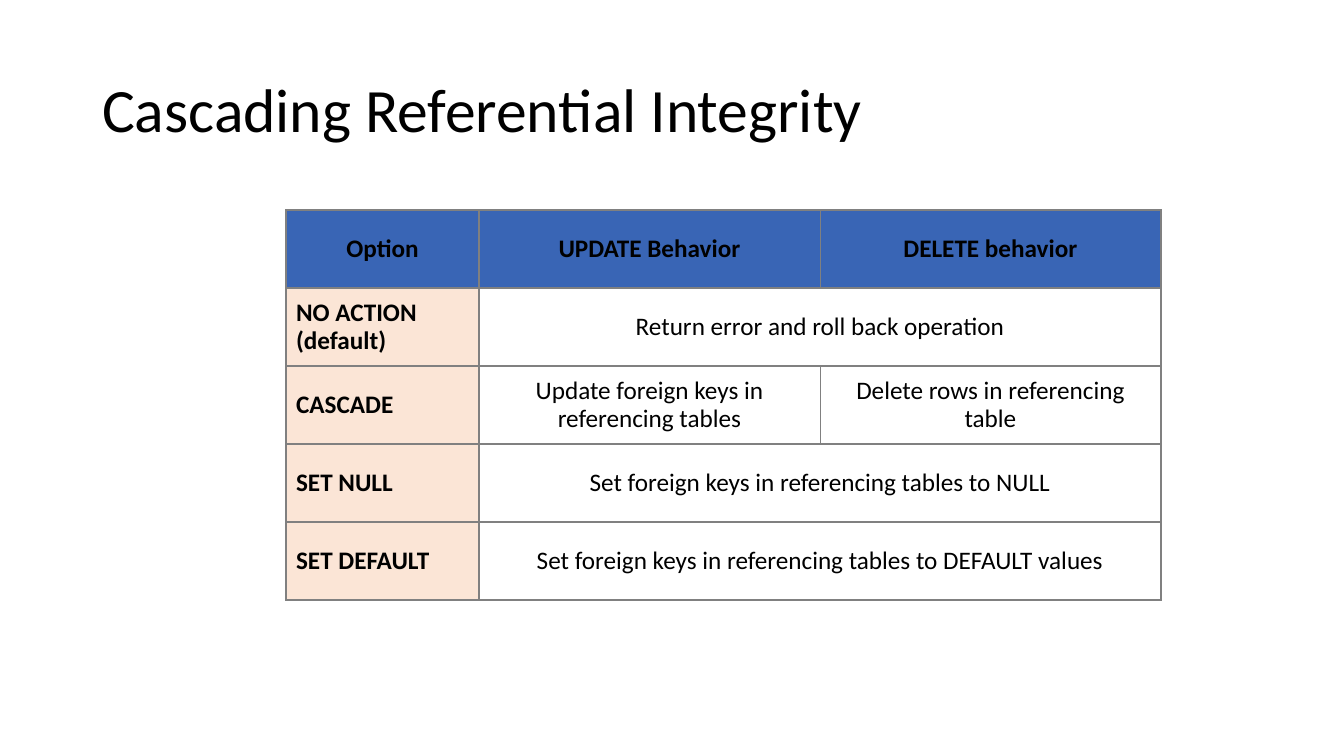
from dataclasses import dataclass

from lxml import etree
from pptx import Presentation
from pptx.dml.color import RGBColor
from pptx.enum.text import MSO_ANCHOR, PP_ALIGN
from pptx.oxml.ns import qn
from pptx.util import Emu, Inches, Pt

LEFT, CENTER = PP_ALIGN.LEFT, PP_ALIGN.CENTER
MIDDLE = MSO_ANCHOR.MIDDLE
TITLE_ONLY = 5
PX_PER_INCH = 100.8

SLIDE_SIZE = (1344, 756)
TITLE_BOX = (92, 40, 1159, 146)
TABLE_LEFT, TABLE_TOP = 286, 210
COLUMN_WIDTHS = (193, 341, 341)
ROW_HEIGHT = 78


@dataclass(frozen=True)
class Theme:
    font: str = "Calibri"
    text: str = "000000"
    header_fill: str = "3965B5"
    option_fill: str = "FBE5D6"
    behavior_fill: str = "FFFFFF"
    border: str = "808080"
    title_size: int = 44
    table_size: int = 18
    border_width: float = 1.5
    divider_width: float = 0.75


@dataclass(frozen=True)
class OptionRow:
    """One table row; without a delete behavior, the update cell spans both."""
    option: str
    update: str
    delete: str | None = None


THEME = Theme()
HEADER = OptionRow("Option", "UPDATE Behavior", "DELETE behavior")
OPTIONS = (
    OptionRow("NO ACTION (default)", "Return error and roll back operation"),
    OptionRow("CASCADE", "Update foreign keys in referencing tables",
              "Delete rows in referencing table"),
    OptionRow("SET NULL", "Set foreign keys in referencing tables to NULL"),
    OptionRow("SET DEFAULT",
              "Set foreign keys in referencing tables to DEFAULT values"),
)


def px(length: int) -> Emu:
    return Inches(length / PX_PER_INCH)


def write_text(text_frame, text: str, *, size: int, bold: bool = False,
               align=LEFT) -> None:
    text_frame.word_wrap = True
    paragraph = text_frame.paragraphs[0]
    paragraph.alignment = align
    paragraph.line_spacing = 0.9
    run = paragraph.add_run()
    run.text = text
    run.font.name = THEME.font
    run.font.size = Pt(size)
    run.font.bold = bold
    run.font.color.rgb = RGBColor.from_string(THEME.text)


def set_borders(cell, left: float, right: float) -> None:
    """Draw all four borders; they must precede the fill in the cell XML."""
    properties = cell._tc.get_or_add_tcPr()
    widths = {"a:lnL": left, "a:lnR": right,
              "a:lnT": THEME.border_width, "a:lnB": THEME.border_width}
    for index, (tag, width) in enumerate(widths.items()):
        line = etree.Element(qn(tag), w=str(Pt(width)))
        fill = etree.SubElement(line, qn("a:solidFill"))
        etree.SubElement(fill, qn("a:srgbClr"), val=THEME.border)
        properties.insert(index, line)


def add_title(slide, text: str) -> None:
    title = slide.shapes.title
    title.left, title.top, title.width, title.height = map(px, TITLE_BOX)
    title.text_frame.vertical_anchor = MIDDLE
    write_text(title.text_frame, text, size=THEME.title_size)


def fill_row(table, row_index: int, row: OptionRow) -> None:
    is_header = row is HEADER
    is_merged = row.delete is None
    if is_merged:
        table.cell(row_index, 1).merge(table.cell(row_index, 2))
    divider = THEME.border_width if is_merged else THEME.divider_width
    edges = (THEME.border_width, THEME.border_width, divider,
             THEME.border_width)
    for column, text in enumerate((row.option, row.update, row.delete)):
        cell = table.cell(row_index, column)
        is_option = column == 0
        if is_header:
            color = THEME.header_fill
        else:
            color = THEME.option_fill if is_option else THEME.behavior_fill
        cell.fill.solid()
        cell.fill.fore_color.rgb = RGBColor.from_string(color)
        set_borders(cell, edges[column], edges[column + 1])
        cell.vertical_anchor = MIDDLE
        if text:
            write_text(cell.text_frame, text, size=THEME.table_size,
                       bold=is_header or is_option,
                       align=LEFT if is_option and not is_header else CENTER)


def add_options_table(slide) -> None:
    rows = (HEADER, *OPTIONS)
    table = slide.shapes.add_table(
        len(rows), len(COLUMN_WIDTHS), px(TABLE_LEFT), px(TABLE_TOP),
        px(sum(COLUMN_WIDTHS)), px(ROW_HEIGHT * len(rows))).table
    table.first_row = False
    table.horz_banding = False
    for column, width in zip(table.columns, COLUMN_WIDTHS):
        column.width = px(width)
    for index, row in enumerate(rows):
        table.rows[index].height = px(ROW_HEIGHT)
        fill_row(table, index, row)


def main() -> None:
    presentation = Presentation()
    presentation.slide_width, presentation.slide_height = map(px, SLIDE_SIZE)
    slide = presentation.slides.add_slide(
        presentation.slide_layouts[TITLE_ONLY])
    add_title(slide, "Cascading Referential Integrity")
    add_options_table(slide)
    presentation.save("out.pptx")


if __name__ == "__main__":
    main()
